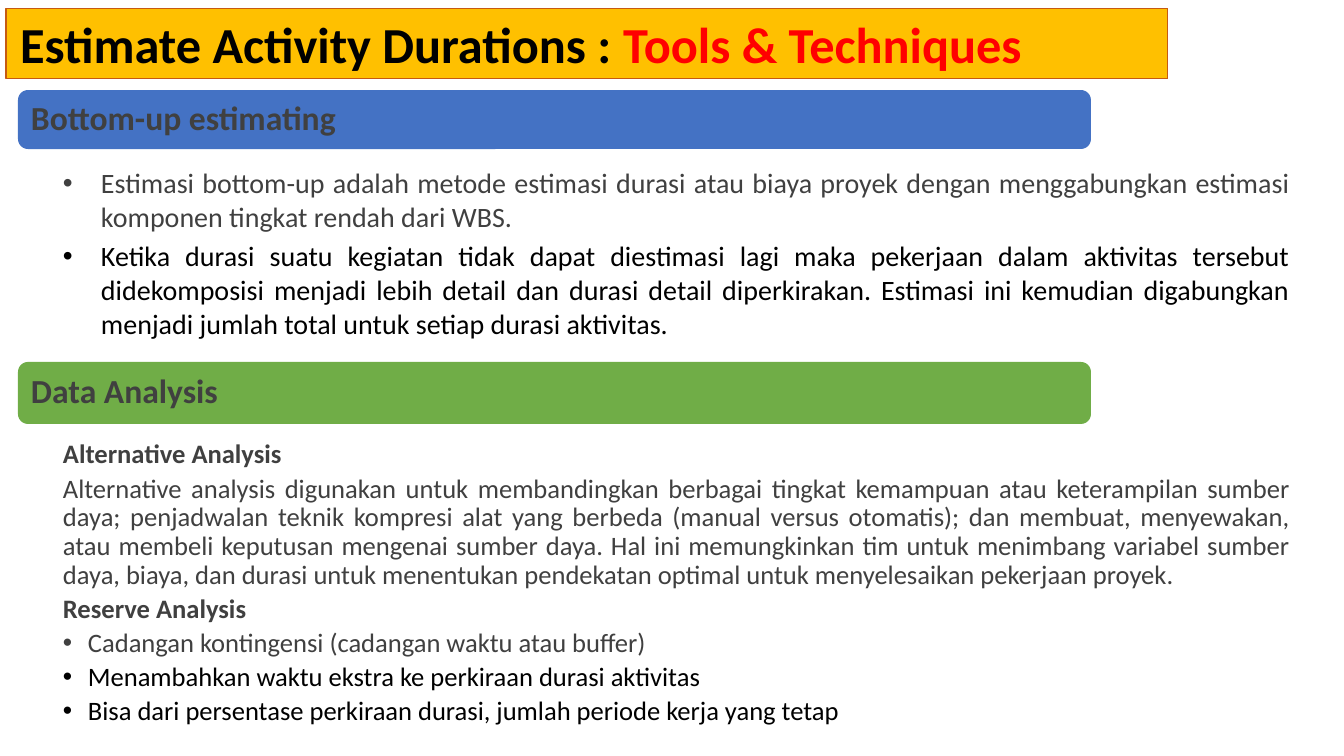
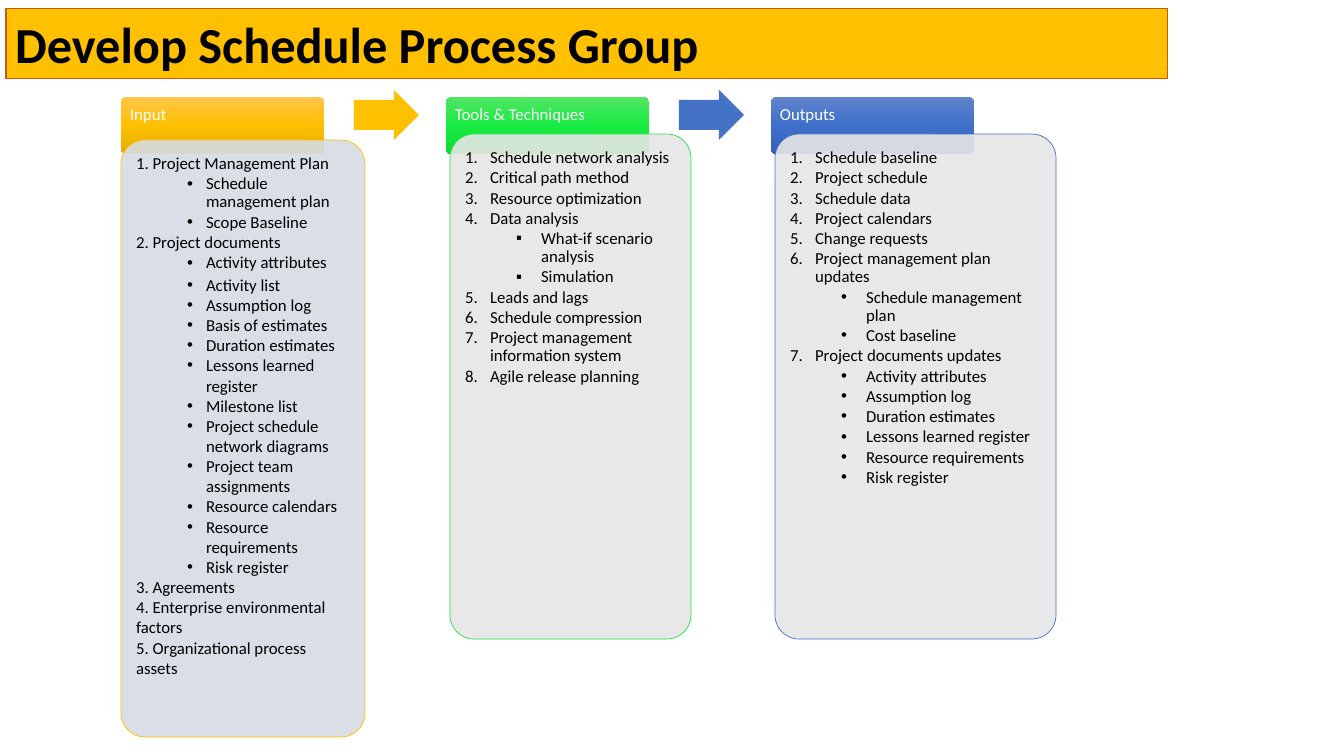
from lxml import etree
from pptx import Presentation
from pptx import util as u
from pptx.dml import color as c
from pptx.enum import shapes, text
from pptx.oxml import ns

PX = 914400 / 100.8
FONT = "Calibri"
COLORS = {
    "black": "000000", "white": "FFFFFF", "red": "FF0000", "grey": "404040",
    "gold": "FFC000", "rust": "C55A11", "blue": "4472C4", "green": "70AD47",
    "lime": "23E148", "mist": "D6DCE5", "silver": "E7E6E6",
}
GRADIENTS = {
    "gold": ("FFC64B", "FFC000", "E3AB00"),
    "lime": ("51E663", "19EB42", "0CDB34"),
    "blue": ("6183CB", "3E70CA", "3062BB"),
}
COLUMN_LEFT, COLUMN_STEP = 121, 325
PLAIN, NUMBER, BULLET, SQUARE = "", "1.", "•", "▪"

BOTTOM_UP = [
    ("Estimasi bottom-up adalah metode estimasi durasi atau biaya proyek dengan "
     "menggabungkan estimasi komponen tingkat rendah dari WBS.", "grey"),
    ("Ketika durasi suatu kegiatan tidak dapat diestimasi lagi maka pekerjaan dalam "
     "aktivitas tersebut didekomposisi menjadi lebih detail dan durasi detail "
     "diperkirakan. Estimasi ini kemudian digabungkan menjadi jumlah total untuk "
     "setiap durasi aktivitas.", "black"),
]
ALTERNATIVES = (
    "Alternative analysis digunakan untuk membandingkan berbagai tingkat kemampuan atau "
    "keterampilan sumber daya; penjadwalan teknik kompresi alat yang berbeda (manual "
    "versus otomatis); dan membuat, menyewakan, atau membeli keputusan mengenai sumber "
    "daya. Hal ini memungkinkan tim untuk menimbang variabel sumber daya, biaya, dan "
    "durasi untuk menentukan pendekatan optimal untuk menyelesaikan pekerjaan proyek.")
RESERVES = [
    ("Cadangan kontingensi (cadangan waktu atau buffer)", "grey"),
    ("Menambahkan waktu ekstra ke perkiraan durasi aktivitas", "black"),
    ("Bisa dari persentase perkiraan durasi, jumlah periode kerja yang tetap", "black"),
]
INPUTS_TIGHT = [
    (PLAIN, ["1. Project Management Plan"]),
    (BULLET, ["Schedule management plan", "Scope Baseline"]),
    (PLAIN, ["2. Project documents"]),
    (BULLET, ["Activity attributes"]),
]
INPUTS_LOOSE = [
    (BULLET, ["Activity list", "Assumption log", "Basis of estimates",
              "Duration estimates", "Lessons learned register", "Milestone list",
              "Project schedule network diagrams", "Project team assignments",
              "Resource calendars", "Resource requirements", "Risk register"]),
    (PLAIN, ["3. Agreements", "4. Enterprise environmental factors",
             "5. Organizational process assets"]),
]
TOOLS = [
    (NUMBER, ["Schedule network analysis", "Critical path method",
              "Resource optimization", "Data analysis"]),
    (SQUARE, ["What-if scenario analysis", "Simulation"]),
    (NUMBER, ["Leads and lags", "Schedule compression",
              "Project management information system", "Agile release planning"]),
]
OUTPUTS = [
    (NUMBER, ["Schedule baseline", "Project schedule", "Schedule data",
              "Project calendars", "Change requests",
              "Project management plan updates"]),
    (BULLET, ["Schedule management plan", "Cost baseline"]),
    (NUMBER, ["Project documents updates"]),
    (BULLET, ["Activity attributes", "Assumption log", "Duration estimates",
              "Lessons learned register", "Resource requirements", "Risk register"]),
]


def px(length):
    return u.Emu(round(length * PX))


def rgb(name):
    return c.RGBColor.from_string(COLORS[name])


def add_span(para, words, size, color, bold=False):
    span = para.add_run()
    span.text = words
    span.font.name = FONT
    span.font.size = u.Pt(size)
    span.font.bold = bold
    span.font.color.rgb = rgb(color)


def set_bullet(para, mark, indent, hang):
    props = para._p.get_or_add_pPr()
    props.set("marL", str(px(indent)))
    props.set("indent", str(-px(hang)))
    if mark == NUMBER:
        etree.SubElement(props, ns.qn("a:buAutoNum"), type="arabicPeriod")
    else:
        etree.SubElement(props, ns.qn("a:buFont"), typeface="Arial")
        etree.SubElement(props, ns.qn("a:buChar"), char=mark)


def add_text(frame, words, size=12, color="black", bold=False, mark=PLAIN, indent=0,
             hang=0, level=0, spacing=None, after=0, justify=False):
    """Add one paragraph, using the empty first one when the frame is new."""
    first = frame.paragraphs[0]
    para = frame.add_paragraph() if first.runs else first
    para.level = level
    if mark:
        set_bullet(para, mark, indent, hang)
    para.alignment = text.PP_ALIGN.JUSTIFY if justify else text.PP_ALIGN.LEFT
    para.line_spacing = spacing
    para.space_after = u.Pt(after)
    add_span(para, words, size, color, bold)
    return para


def set_frame(box, margins, anchor=text.MSO_ANCHOR.TOP):
    frame = box.text_frame
    frame.word_wrap = True
    frame.vertical_anchor = anchor
    (frame.margin_left, frame.margin_top,
     frame.margin_right, frame.margin_bottom) = [px(margin) for margin in margins]
    return frame


def add_box(page, kind, area, fill, line=None, width=0.5):
    box = page.shapes.add_shape(kind, *[px(length) for length in area])
    box.shadow.inherit = False
    box.fill.solid()
    box.fill.fore_color.rgb = rgb(fill)
    if line:
        box.line.color.rgb = rgb(line)
        box.line.width = u.Pt(width)
    else:
        box.line.fill.background()
    return box


def add_round_box(page, area, radius, margin, fill, line=None,
                  anchor=text.MSO_ANCHOR.TOP):
    """Return a rounded box and its frame; margin counts from the outer edge."""
    box = add_box(page, shapes.MSO_SHAPE.ROUNDED_RECTANGLE, area, fill, line)
    box.adjustments[0] = radius / min(area[2:])
    return box, set_frame(box, [margin - 0.29 * radius] * 4, anchor)


def add_title(page, words, accent="", margin=9):
    bar = add_box(page, shapes.MSO_SHAPE.RECTANGLE, (6, 8, 1162, 71), "gold", "rust", 0.75)
    frame = set_frame(bar, (margin, 5, 9, 5))
    para = add_text(frame, words, size=36, bold=True)
    if accent:
        add_span(para, accent, 36, "red", True)


def add_band(page, words, top, height, fill):
    _, frame = add_round_box(page, (18, top, 1073, height), 10, 13, fill,
                             anchor=text.MSO_ANCHOR.MIDDLE)
    add_text(frame, words, size=24, color="grey", bold=True, spacing=0.9)


def add_body(page, top, height):
    box = page.shapes.add_textbox(px(29), px(top), px(1280), px(height))
    return set_frame(box, (34, 3, 19, 3))


def set_gradient(box, stops):
    box.fill.gradient()
    box.fill.gradient_angle = 270
    stop_list = box._element.spPr.find(".//" + ns.qn("a:gsLst"))
    for stop in list(stop_list):
        stop_list.remove(stop)
    for index, shade in enumerate(stops):
        stop = etree.SubElement(stop_list, ns.qn("a:gs"), pos=str(index * 50000))
        etree.SubElement(stop, ns.qn("a:srgbClr"), val=shade)


def add_tab(page, words, column, color):
    area = (COLUMN_LEFT + column * COLUMN_STEP, 97, 203, 57)
    box, frame = add_round_box(page, area, 5, 9, color)
    set_gradient(box, GRADIENTS[color])
    add_text(frame, words, color="white", spacing=0.9)


def add_panel(page, area, fill, line):
    box, frame = add_round_box(page, area, 24, 15, fill, line)
    shade = box._element.spPr.find(ns.qn("a:solidFill"))[0]
    etree.SubElement(shade, ns.qn("a:alpha"), val="90000")
    return frame


def add_list(frame, groups, indent=76, hang=25, **style):
    """Write groups of (mark, items); indent and hang apply to the inner level."""
    for mark, items in groups:
        inner = mark in (BULLET, SQUARE)
        for item in items:
            add_text(frame, item, mark=mark, level=int(inner),
                     indent=indent if inner else hang, hang=hang, **style)


def add_arrow(page, column, color):
    area = (354 + column * COLUMN_STEP, 90, 65, 50)
    arrow = add_box(page, shapes.MSO_SHAPE.RIGHT_ARROW, area, color)
    arrow.adjustments[0] = 0.6
    arrow.adjustments[1] = 0.5


def build_techniques(page):
    add_title(page, "Estimate Activity Durations : ", "Tools & Techniques", margin=14)

    add_band(page, "Bottom-up estimating", 90, 59, "blue")
    frame = add_body(page, 163, 170)
    for words, color in BOTTOM_UP:
        add_text(frame, words, size=20, color=color, mark=BULLET, indent=38, hang=38,
                 after=4, justify=True)

    add_band(page, "Data Analysis", 362, 62, "green")
    frame = add_body(page, 438, 304)
    style = {"size": 19, "spacing": 0.9, "after": 3.8, "justify": True}
    add_text(frame, "Alternative Analysis", color="grey", bold=True, **style)
    add_text(frame, ALTERNATIVES, color="grey", **style)
    add_text(frame, "Reserve Analysis", color="grey", bold=True, **style)
    for words, color in RESERVES:
        add_text(frame, words, color=color, mark=BULLET, indent=25, hang=25, **style)


def build_process(page):
    add_title(page, "Develop Schedule Process Group")
    tight = {"spacing": 0.9, "after": 1.5}

    add_tab(page, "Input", 0, "gold")
    frame = add_panel(page, (121, 140, 244, 597), "mist", "gold")
    add_list(frame, INPUTS_TIGHT, indent=70, hang=19, **tight)
    add_list(frame, INPUTS_LOOSE, indent=70, hang=19)
    add_arrow(page, 0, "gold")

    add_tab(page, "Tools & Techniques", 1, "lime")
    frame = add_panel(page, (450, 134, 241, 505), "silver", "lime")
    add_list(frame, TOOLS, **tight)
    add_arrow(page, 1, "blue")

    add_tab(page, "Outputs", 2, "blue")
    frame = add_panel(page, (775, 134, 281, 505), "silver", "blue")
    add_list(frame, OUTPUTS, **tight)


def main():
    deck = Presentation()
    deck.slide_width, deck.slide_height = px(1344), px(756)
    for build in (build_techniques, build_process):
        build(deck.slides.add_slide(deck.slide_layouts[6]))
    deck.save("out.pptx")


if __name__ == "__main__":
    main()
